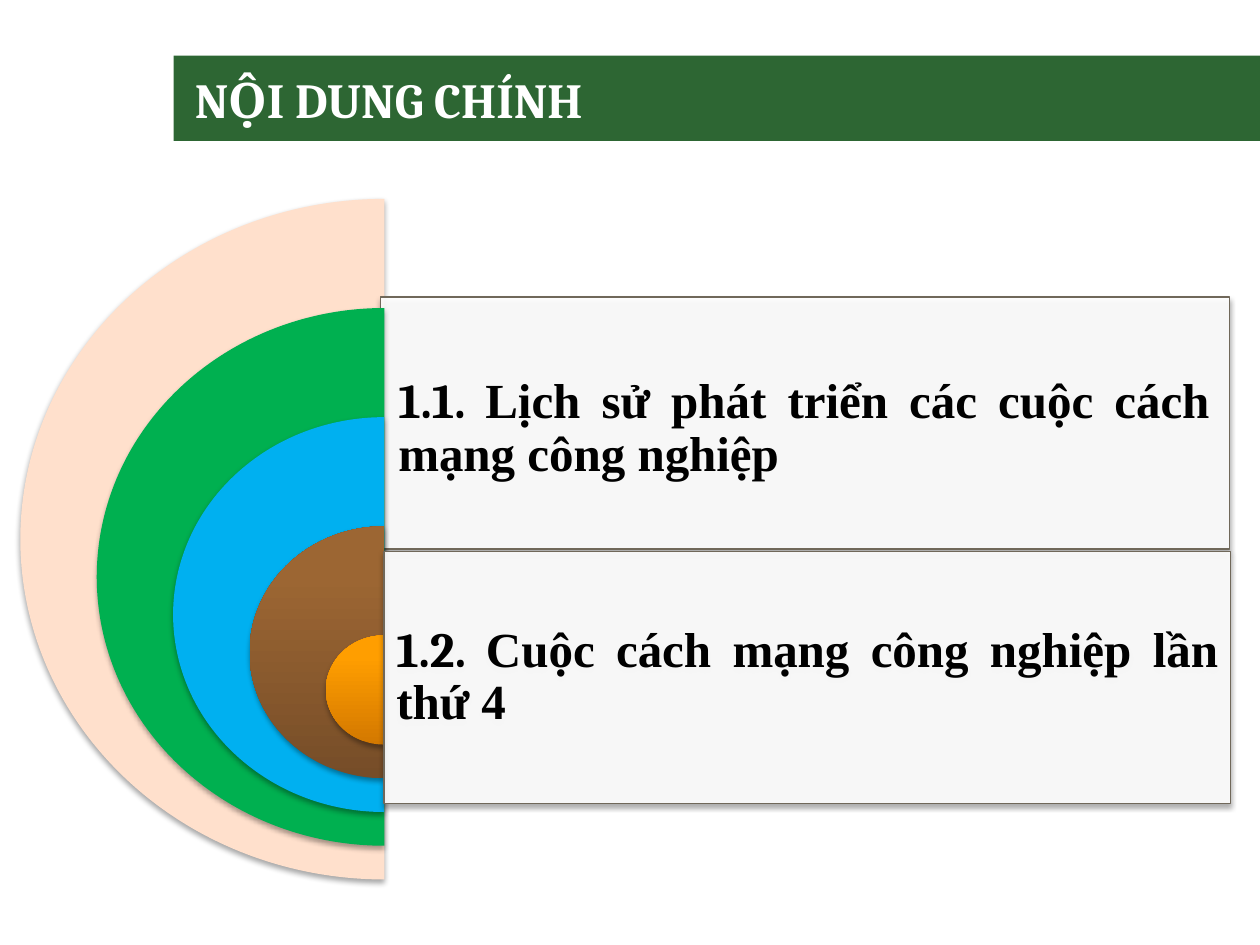
"""Build the agenda slide: nested half discs beside two topic panels."""
from lxml import etree
from pptx import Presentation
from pptx import util as u
from pptx.dml import color
from pptx.enum import shapes, text
from pptx.oxml import ns

COLORS = {"band": "2D6633", "white": "FFFFFF", "black": "000000", "edge": "70685A",
          "peach": "FFE0CC", "green": "00B050", "blue": "00B0F0"}
BROWN = [(0, "764D28"), (80, "9C6633"), (100, "9D6733")]
ORANGE = [(0, "D37800"), (80, "FF9E00"), (100, "FFA000")]
DISCS = [COLORS["peach"], COLORS["green"], COLORS["blue"], BROWN, ORANGE]
HEADING, BODY = "Cambria", "Times New Roman"


def rgb(name):
    return color.RGBColor.from_string(COLORS.get(name, name))


def sub(parent, tag, **attrs):
    return etree.SubElement(parent, ns.qn(tag), {k: str(v) for k, v in attrs.items()})


def apply(obj, values):
    for name, value in values.items():
        setattr(obj, name, value)


def add_shadow(sp):
    sp.shadow.inherit = False
    effects = sp._element.spPr.find(ns.qn("a:effectLst"))
    outer = sub(effects, "a:outerShdw", blurRad=u.Pt(3.1), dist=u.Pt(1.8),
                dir=5400000, rotWithShape=0)
    sub(sub(outer, "a:srgbClr", val=COLORS["black"]), "a:alpha", val=35000)


def set_gradient(sp, stops):
    sp.fill.gradient()
    sp.fill.gradient_angle = 90
    gs_lst = sp._element.spPr.find(".//" + ns.qn("a:gsLst"))
    for gs in list(gs_lst):
        gs_lst.remove(gs)
    for pos, hex_color in stops:
        sub(sub(gs_lst, "a:gs", pos=pos * 1000), "a:srgbClr", val=hex_color)


def add_box(s, kind, box, fill):
    sp = s.shapes.add_shape(kind, *map(u.Cm, box))
    sp.shadow.inherit = False
    sp.line.fill.background()
    if isinstance(fill, list):
        set_gradient(sp, fill)
    else:
        sp.fill.solid()
        sp.fill.fore_color.rgb = rgb(fill)
    return sp


def add_disc(s, i):
    box = (0.41 + 1.54 * i, 4.01 + 2.2 * i, 14.68 - 3.085 * i, 13.72 - 2.88 * i)
    sp = add_box(s, shapes.MSO_SHAPE.PIE, box, DISCS[i])
    sp.adjustments[0], sp.adjustments[1] = 54, 162
    add_shadow(sp)


def add_panel(s, box):
    sp = add_box(s, shapes.MSO_SHAPE.RECTANGLE, box, "white")
    sub(sp._element.spPr.find(".//" + ns.qn("a:srgbClr")), "a:alpha", val=90000)
    sp.line.color.rgb = rgb("edge")
    sp.line.width = u.Pt(0.75)
    add_shadow(sp)
    return sp


def add_text_box(s, box):
    return s.shapes.add_textbox(*map(u.Cm, box))


def write(sp, runs, fill, inset, para):
    tf = sp.text_frame
    side, edge = map(u.Cm, inset)
    apply(tf, {"word_wrap": True, "vertical_anchor": text.MSO_ANCHOR.MIDDLE,
               "margin_left": side, "margin_right": side,
               "margin_top": edge, "margin_bottom": edge})
    p = tf.paragraphs[0]
    apply(p, para)
    for words, font in runs:
        r = p.add_run()
        r.text = words
        apply(r.font, {"name": font, "size": u.Pt(28), "bold": True})
        r.font.color.rgb = rgb(fill)


def write_topic(sp, number, words, inset):
    write(sp, [(number, HEADING), (words, BODY)], "black", (inset, inset),
          {"alignment": text.PP_ALIGN.JUSTIFY, "line_spacing": 0.9})


def main():
    prs = Presentation()
    prs.slide_width, prs.slide_height = u.Cm(25.4), u.Cm(19.05)
    s = prs.slides.add_slide(prs.slide_layouts[6])

    add_box(s, shapes.MSO_SHAPE.RECTANGLE, (3.5, 1.12, 21.9, 1.72), "band")
    write(add_text_box(s, (3.68, 1.32, 21.23, 1.35)), [("NỘI DUNG CHÍNH", HEADING)],
          "white", (0.25, 0.13), {"alignment": text.PP_ALIGN.LEFT})

    add_disc(s, 0)
    add_panel(s, (7.67, 5.99, 17.12, 5.08))
    add_disc(s, 1)
    write_topic(add_text_box(s, (7.65, 7.57, 17.12, 2.18)), "1.1. ",
                "Lịch sử phát triển các cuộc cách mạng công nghiệp", 0.38)
    for i in range(2, len(DISCS)):
        add_disc(s, i)
    write_topic(add_panel(s, (7.74, 11.12, 17.07, 5.08)), "1.2. ",
                "Cuộc cách mạng công nghiệp lần thứ 4", 0.25)
    prs.save("out.pptx")


if __name__ == "__main__":
    main()
